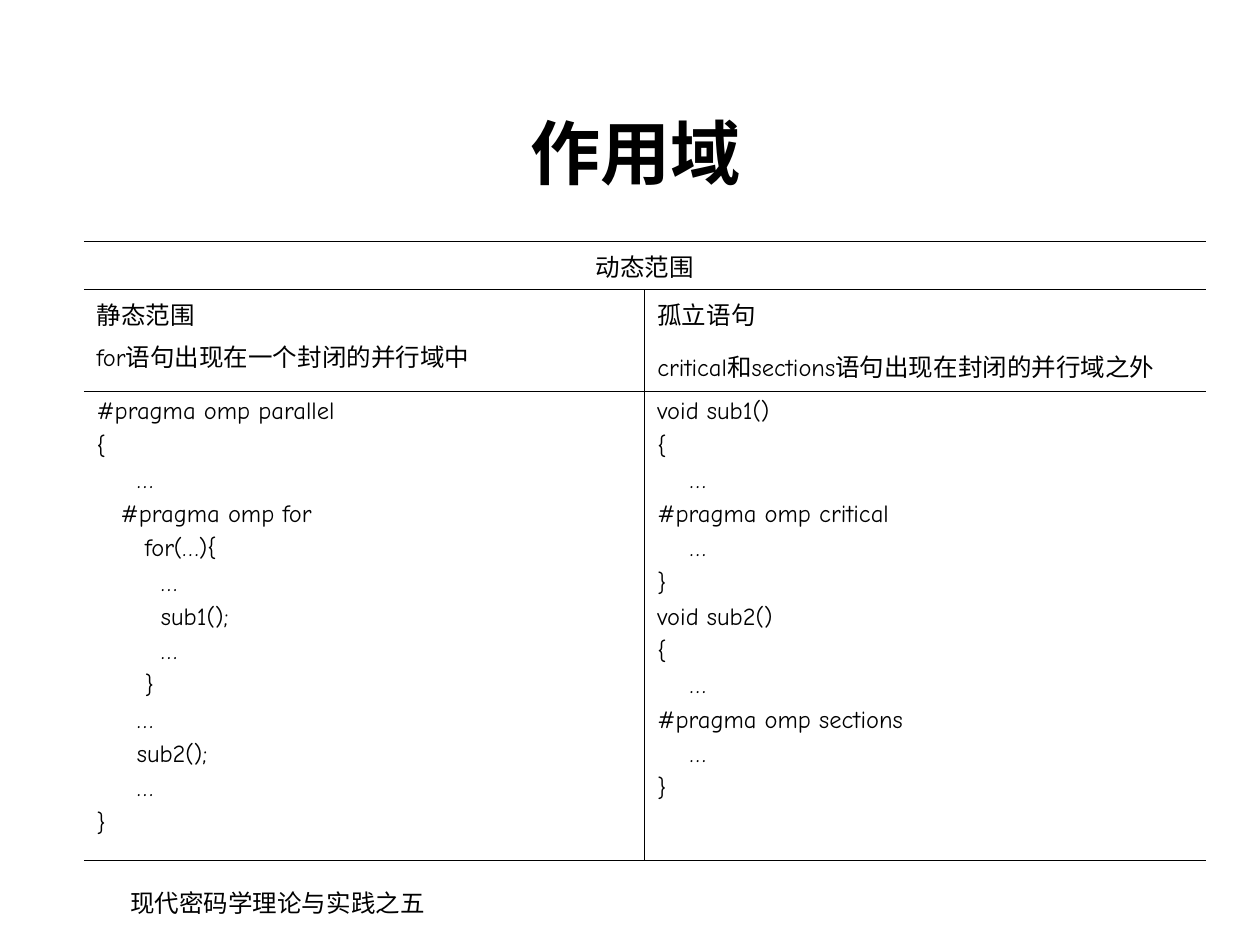
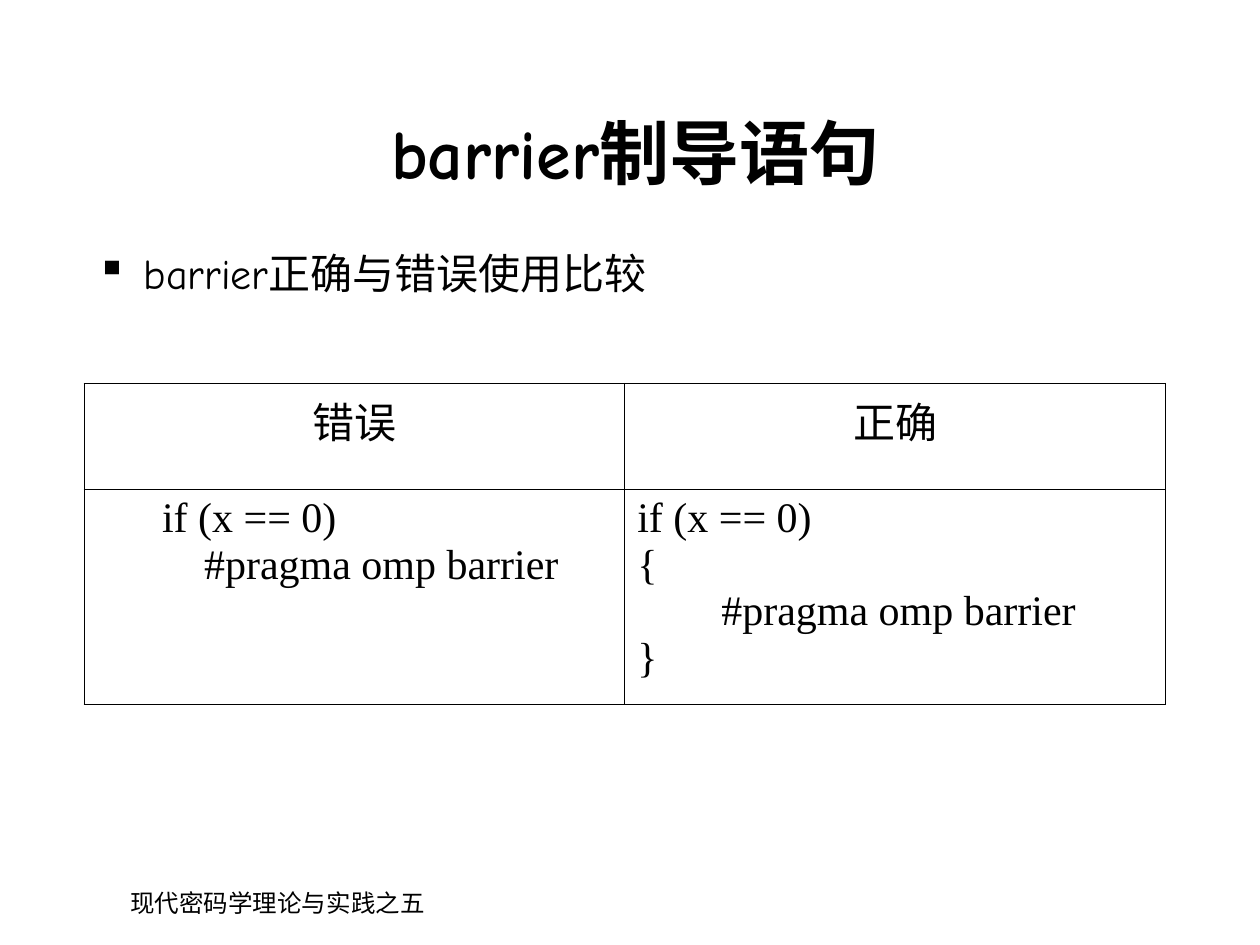
from dataclasses import dataclass

from lxml.etree import SubElement
from pptx import Presentation
from pptx.dml.color import RGBColor
from pptx.enum.lang import MSO_LANGUAGE_ID
from pptx.enum.text import MSO_ANCHOR, PP_ALIGN
from pptx.oxml.ns import qn
from pptx.util import Pt


@dataclass(frozen=True)
class Theme:
    ink: RGBColor = RGBColor(0, 0, 0)
    paper: RGBColor = RGBColor(255, 255, 255)
    display_font: str = "Comic Neue"
    text_font: str = "Times New Roman"
    title_size: float = 40
    body_size: float = 24
    small_size: float = 14
    thin: float = 0.45
    thick: float = 1.08


@dataclass(frozen=True)
class Line:
    text: str
    margin: float = 0
    hanging: float = 0
    before: float = 0
    align: PP_ALIGN = PP_ALIGN.LEFT
    bullet: str = ""


@dataclass(frozen=True)
class TableLook:
    font: str
    size: float
    frame: float
    sides: float


THEME = Theme()
FOOTER = "现代密码学理论与实践之五"

# Code is listed as (indent steps, text).
STATIC_CODE = [
    (0, "#pragma omp parallel"), (0, "{"), (5, "…"), (3, "#pragma omp for"),
    (6, "for(…){"), (8, "…"), (8, "sub1();"), (8, "…"), (6, "}"),
    (5, "…"), (5, "sub2();"), (5, "…"), (0, "}"),
]
ORPHAN_CODE = [
    (0, "void sub1()"), (0, "{"), (4, "…"), (0, "#pragma omp critical"), (4, "…"), (0, "}"),
    (0, "void sub2()"), (0, "{"), (4, "…"), (0, "#pragma omp sections"), (4, "…"), (0, "}"),
]
WRONG_CODE = [(0, "if (x == 0)"), (4, "#pragma omp barrier")]
RIGHT_CODE = [(0, "if (x == 0)"), (0, "{"), (8, "#pragma omp barrier"), (0, "}")]

SCOPE_TITLE = "作用域"
SCOPE_HEADING = "动态范围"
SCOPE_STATIC = ("静态范围", "for语句出现在一个封闭的并行域中")
SCOPE_ORPHAN = ("孤立语句", "critical和sections语句出现在封闭的并行域之外")

BARRIER_TITLE = "barrier制导语句"
BARRIER_POINT = "barrier正确与错误使用比较"
BARRIER_HEADINGS = ("错误", "正确")

TABLE_LEFT = 48
CONTENT_TOP = 138
CONTENT_WIDTH = 618
HANGING = 27
SCOPE_GAP = 3.5
SCOPE_STEP = 4.6
BARRIER_STEP = 6


def code_lines(code, step, start=0, before=0):
    return [Line(text, margin=start + steps * step, before=before) for steps, text in code]


def write_lines(frame, lines, font, size, bold=False):
    frame.word_wrap = True
    for index, line in enumerate(lines):
        paragraph = frame.paragraphs[0] if index == 0 else frame.add_paragraph()
        paragraph.alignment = line.align
        paragraph.space_before = Pt(line.before)
        properties = paragraph._p.get_or_add_pPr()
        properties.set("marL", str(Pt(line.margin)))
        properties.set("indent", str(Pt(-line.hanging)))
        if line.bullet:
            SubElement(properties, qn("a:buChar")).set("char", line.bullet)
        run = paragraph.add_run()
        run.text = line.text
        run.font.name = font
        run.font.size = Pt(size)
        run.font.bold = bold
        run.font.color.rgb = THEME.ink
        run.font.language_id = MSO_LANGUAGE_ID.SIMPLIFIED_CHINESE


def add_text(slide, box, line, font, size, bold=False, anchor=MSO_ANCHOR.TOP):
    frame = slide.shapes.add_textbox(*map(Pt, box)).text_frame
    frame.vertical_anchor = anchor
    write_lines(frame, [line], font, size, bold)


def set_borders(cell, widths):
    """Draw the left, right, top and bottom borders; a zero width means none."""
    properties = cell._tc.get_or_add_tcPr()
    for side, width in zip("LRTB", widths):
        border = SubElement(properties, qn(f"a:ln{side}"))
        if width:
            border.set("w", str(Pt(width)))
            fill = SubElement(border, qn("a:solidFill"))
            SubElement(fill, qn("a:srgbClr")).set("val", str(THEME.ink))
        else:
            border.set("w", "0")
            SubElement(border, qn("a:noFill"))


def add_grid(slide, top, width, heights, rows, look):
    """Add a two-column table; a row with one entry spans both columns."""
    table = slide.shapes.add_table(
        len(rows), 2, Pt(TABLE_LEFT), Pt(top), Pt(width), Pt(sum(heights))).table
    table.first_row = table.horz_banding = False
    for column in table.columns:
        column.width = Pt(width / 2)
    last = len(rows) - 1
    for row_index, (entries, height) in enumerate(zip(rows, heights)):
        table.rows[row_index].height = Pt(height)
        divider = THEME.thin if len(entries) == 2 else 0
        if len(entries) == 1:
            table.cell(row_index, 0).merge(table.cell(row_index, 1))
        for column_index in range(2):
            cell = table.cell(row_index, column_index)
            set_borders(cell, (
                divider if column_index else look.sides,
                look.sides if column_index else divider,
                THEME.thin if row_index else look.frame,
                look.frame if row_index == last else THEME.thin,
            ))
            cell.fill.background()
            if column_index < len(entries):
                write_lines(cell.text_frame, entries[column_index], look.font, look.size)


def add_slide(presentation, title):
    slide = presentation.slides.add_slide(presentation.slide_layouts[6])
    slide.background.fill.solid()
    slide.background.fill.fore_color.rgb = THEME.paper
    add_text(slide, (54, 54, CONTENT_WIDTH, 60), Line(title, align=PP_ALIGN.CENTER),
             THEME.display_font, THEME.title_size, bold=True, anchor=MSO_ANCHOR.BOTTOM)
    add_text(slide, (6, 504, 288, 36), Line(FOOTER, margin=17.28, align=PP_ALIGN.CENTER),
             THEME.text_font, THEME.small_size)
    return slide


def build_scope(presentation):
    slide = add_slide(presentation, SCOPE_TITLE)
    static_heading = [Line(text, before=SCOPE_GAP) for text in SCOPE_STATIC]
    orphan_heading = [Line(text, before=before)
                      for text, before in zip(SCOPE_ORPHAN, (SCOPE_GAP, 9.5))]
    rows = [
        [[Line(SCOPE_HEADING, before=SCOPE_GAP, align=PP_ALIGN.CENTER)]],
        [static_heading, orphan_heading],
        [code_lines(code, SCOPE_STEP, before=SCOPE_GAP) for code in (STATIC_CODE, ORPHAN_CODE)],
    ]
    look = TableLook(THEME.display_font, THEME.small_size, frame=THEME.thick, sides=0)
    add_grid(slide, CONTENT_TOP, 641, (27.4, 58.3, 268), rows, look)


def build_barrier(presentation):
    slide = add_slide(presentation, BARRIER_TITLE)
    rows = [
        [[Line(text, margin=HANGING, hanging=HANGING, align=PP_ALIGN.CENTER)]
         for text in BARRIER_HEADINGS],
        [code_lines(WRONG_CODE, BARRIER_STEP, start=37.4), code_lines(RIGHT_CODE, BARRIER_STEP)],
    ]
    look = TableLook(THEME.text_font, THEME.body_size, frame=THEME.thin, sides=THEME.thin)
    add_grid(slide, 219, CONTENT_WIDTH, (60.5, 122.8), rows, look)
    point = Line(BARRIER_POINT, margin=HANGING, hanging=HANGING, before=6, bullet="▪")
    add_text(slide, (TABLE_LEFT, CONTENT_TOP, CONTENT_WIDTH, 360), point,
             THEME.display_font, THEME.body_size)


def main():
    presentation = Presentation()
    presentation.slide_width, presentation.slide_height = Pt(720), Pt(540)
    build_scope(presentation)
    build_barrier(presentation)
    presentation.save("out.pptx")


if __name__ == "__main__":
    main()
